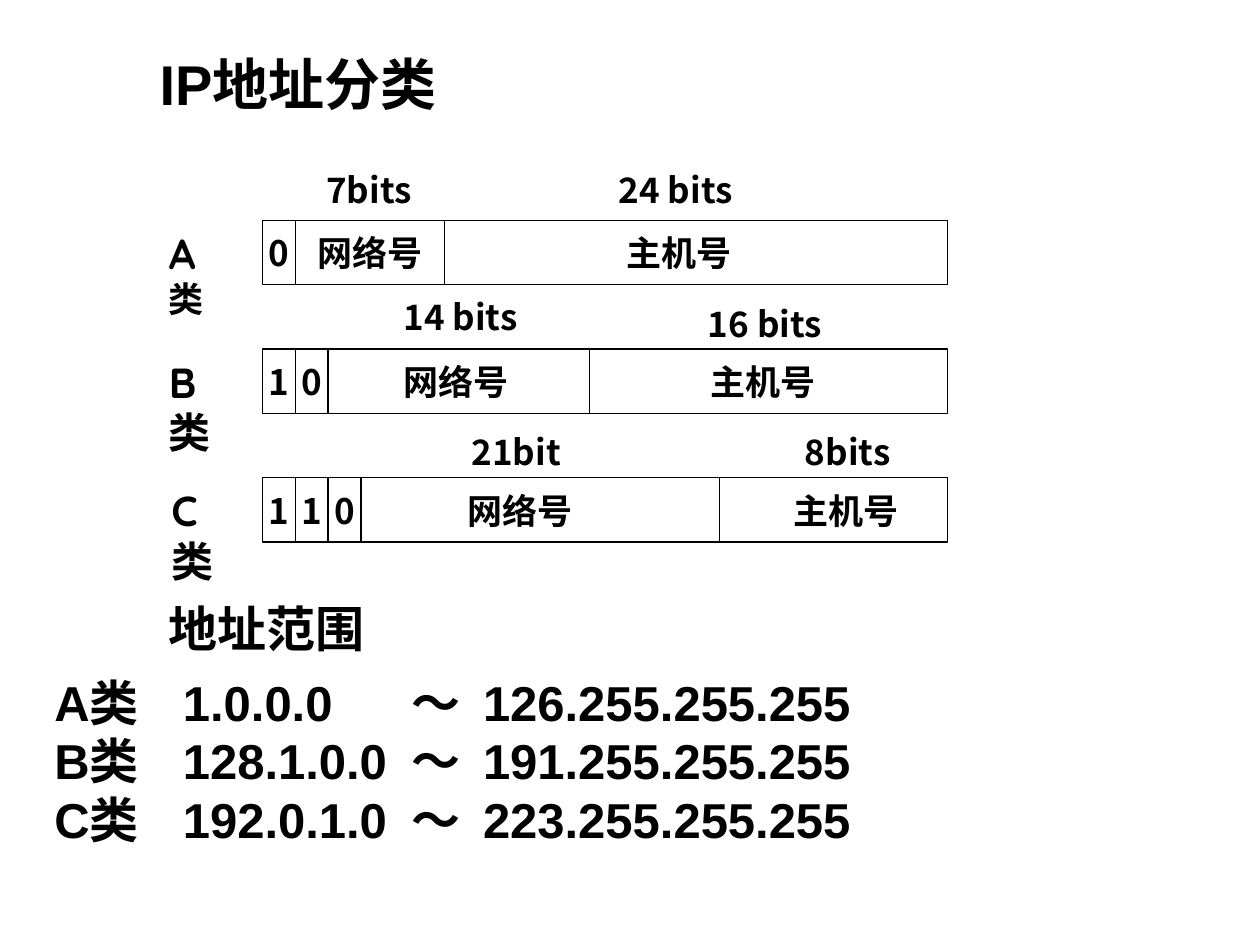
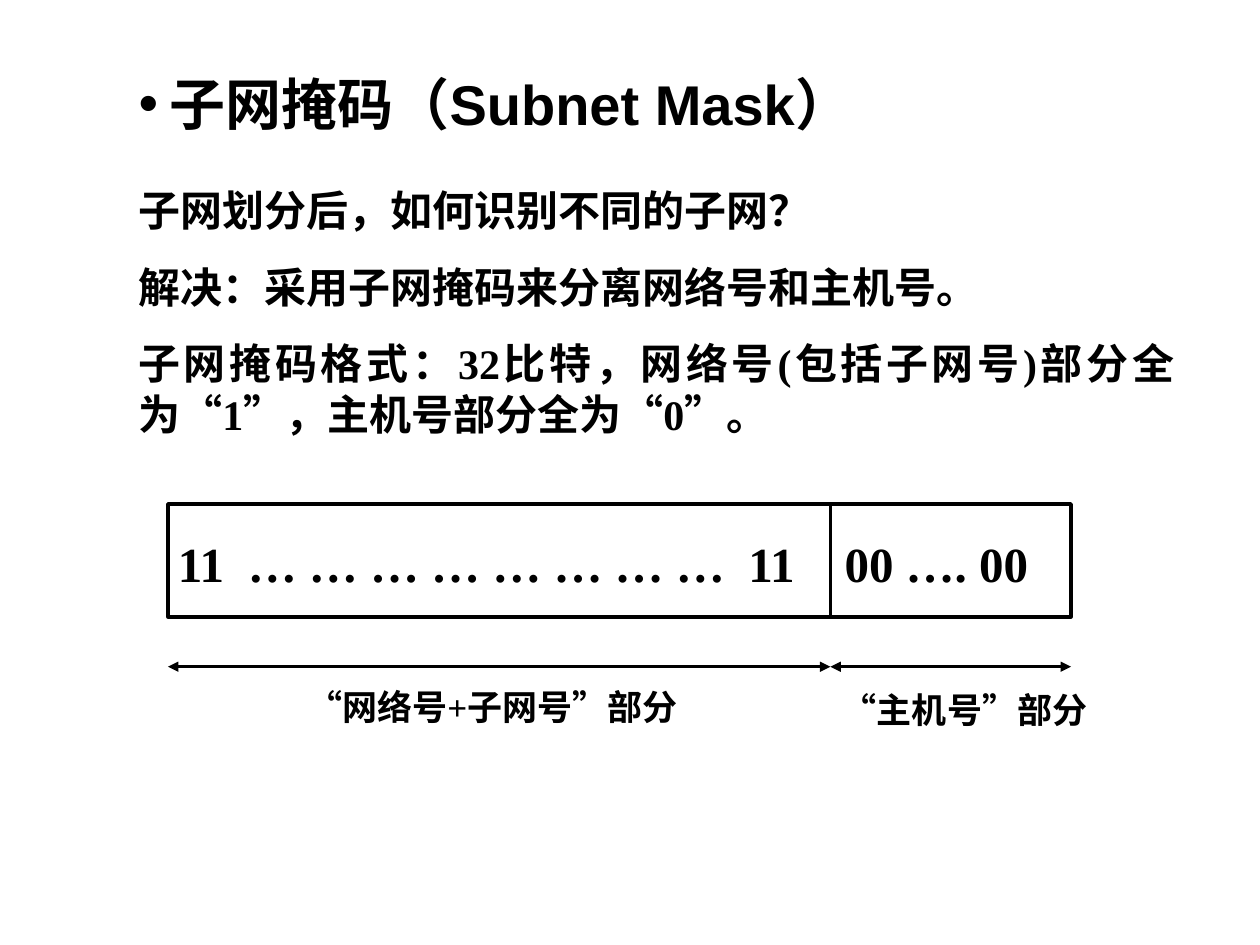
from dataclasses import dataclass

from lxml.etree import SubElement as Sub
from pptx import Presentation
from pptx.dml.color import RGBColor
from pptx.enum.shapes import MSO_CONNECTOR as Conn, MSO_SHAPE as Kind
from pptx.enum.text import MSO_ANCHOR as Anchor, MSO_AUTO_SIZE as Auto, PP_ALIGN as Align
from pptx.oxml.ns import qn
from pptx.util import Pt

BLACK, WHITE = "000000", "FFFFFF"
HAN, SANS, SERIF, ROUND = "Noto Sans CJK SC", "Arial", "Times New Roman", "Quicksand"


@dataclass(frozen=True)
class Label:
    text: str
    left: float
    top: float


@dataclass(frozen=True)
class Row:
    name: str
    left: float
    size: int
    bits: str
    cut: float
    net: float
    host: float
    counts: tuple[Label, Label]


ROWS = [
    Row("A", 96.5, 20, "0", 254, 181.5, 358,
        (Label("7bits", 186.5, 96.5), Label("24 bits", 353.5, 96.5))),
    Row("B", 96.5, 24, "10", 337, 230.5, 406,
        (Label("14 bits", 230.5, 169), Label("16 bits", 404.5, 173))),
    Row("C", 98, 24, "110", 411, 267, 453.5,
        (Label("21bit", 269.5, 246), Label("8bits", 460, 246))),
]
RANGES = [
    "A类\t1.0.0.0\t～\t126.255.255.255",
    "B类\t128.1.0.0\t～\t191.255.255.255",
    "C类\t192.0.1.0\t～\t223.255.255.255",
]
NOTES = [
    "子网划分后，如何识别不同的子网？",
    "解决：采用子网掩码来分离网络号和主机号。",
    "子网掩码格式：32比特，网络号(包括子网号)部分全为“1”，主机号部分全为“0”。",
]


def paint(code: str) -> RGBColor:
    return RGBColor.from_string(code)


def place(shape, left: float, top: float, width: float, height: float) -> None:
    shape.left, shape.top = Pt(left), Pt(top)
    shape.width, shape.height = Pt(width), Pt(height)


def add_run(para, text: str, size: float, font: str) -> None:
    run = para.add_run()
    run.text = text
    run.font.size, run.font.name, run.font.bold = Pt(size), font, True
    run.font.color.rgb = paint(BLACK)
    Sub(run.font._element, qn("a:ea"), typeface=HAN)


def write(slide, lines: list[str], left: float, top: float, width: float, height: float, *,
          shape=None, size: float = 20, font: str = HAN, align=Align.LEFT, anchor=Anchor.TOP,
          pad: bool = False, gap: float = 0, tabs: tuple = (), bullet: float = 0,
          tail: str = "", last: float = 20) -> None:
    box = shape or slide.shapes.add_textbox(0, 0, 0, 0)
    place(box, left, top, width, height)
    frame = box.text_frame
    frame.word_wrap, frame.auto_size = True, Auto.NONE
    frame.vertical_anchor = anchor
    frame.margin_left = frame.margin_right = Pt(7.2 if pad else 0)
    frame.margin_top = frame.margin_bottom = Pt(3.6 if pad else 0)
    for i, line in enumerate(lines):
        para = frame.add_paragraph() if i else frame.paragraphs[0]
        para.alignment = align
        para.space_before = Pt(gap if i else 0)
        props = para._p.get_or_add_pPr()
        if bullet:
            props.set("marL", str(Pt(bullet)))
            props.set("indent", str(-Pt(bullet)))
            Sub(props, qn("a:buFont"), typeface=SANS)
            Sub(props, qn("a:buChar"), char="•")
        if tabs:
            stops = Sub(props, qn("a:tabLst"))
            for tab in tabs:
                Sub(stops, qn("a:tab"), pos=str(Pt(tab)), algn="l")
        add_run(para, line, size, font)
        if tail:
            add_run(para, tail, last, HAN)


def title(slide, text: str, left: float, top: float, height: float, **style) -> None:
    write(slide, [text], left, top, 504, height, shape=slide.shapes.title,
          size=32, font=SANS, pad=True, **style)


def frame(slide, left: float, top: float, width: float, height: float, weight: float) -> None:
    rect = slide.shapes.add_shape(Kind.RECTANGLE, Pt(left), Pt(top), Pt(width), Pt(height))
    rect.shadow.inherit = False
    rect.fill.solid()
    rect.fill.fore_color.rgb = paint(WHITE)
    rect.line.color.rgb = paint(BLACK)
    rect.line.width = Pt(weight)


def rule(slide, x1: float, y1: float, x2: float, y2: float, weight: float,
         arrow: bool = False) -> None:
    line = slide.shapes.add_connector(Conn.STRAIGHT, Pt(x1), Pt(y1), Pt(x2), Pt(y2))
    line.line.color.rgb = paint(BLACK)
    line.line.width = Pt(weight)
    if arrow:
        for end in ("a:headEnd", "a:tailEnd"):
            Sub(line.line._get_or_add_ln(), qn(end), type="triangle")
    Sub(line._element.spPr, qn("a:effectLst"))


def draw_row(slide, row: Row, top: float) -> None:
    left, width, height, cell, thin = 150, 391.5, 36.75, 18.75, 0.71
    frame(slide, left, top, width, height, thin)
    write(slide, [row.name], row.left, top + 4, 30, 60, size=24, font=ROUND,
          tail="类", last=row.size)
    for i, bit in enumerate(row.bits):
        start = left + i * cell
        write(slide, [bit], start, top + 6.5, cell, 24, align=Align.CENTER)
        rule(slide, start + cell, top, start + cell, top + height, thin)
    rule(slide, row.cut, top, row.cut, top + height, thin)
    names = (Label("网络号", row.net, top + 6.5), Label("主机号", row.host, top + 6.5))
    for label in names + row.counts:
        write(slide, [label.text], label.left, label.top, 80, 24)


def classes(slide) -> None:
    title(slide, "IP地址分类", 84, 26.5, 42, anchor=Anchor.MIDDLE)
    for i, row in enumerate(ROWS):
        draw_row(slide, row, 126 + 73.5 * i)
    write(slide, ["地址范围"], 96.5, 342, 130, 34, size=28)
    write(slide, RANGES, 31, 384, 630, 101, size=28, font=SANS, tabs=(73.5, 204, 245))


def mask(slide) -> None:
    left, cut, right = 96, 474.5, 612
    top, height = 288, 64.5
    title(slide, "子网掩码（Subnet Mask）", 72, 36, 46, bullet=17.5)
    write(slide, NOTES, 72, 102, 606, 153, size=24, font=SERIF, pad=True,
          gap=15, align=Align.JUSTIFY)
    frame(slide, left, top, right - left, height, 2)
    rule(slide, cut, top, cut, top + height, 2)
    for start, end in ((left, cut), (cut, right)):
        rule(slide, start, 381, end, 381, 1.5, arrow=True)
    write(slide, ["“网络号+子网号”部分"], 168.5, 388, 282, 32, font=SERIF, pad=True)
    write(slide, ["“主机号”部分"], 474, 390, 169, 32, font=SERIF, pad=True)
    write(slide, ["11\t… … … … … … … …\t11\t00 …. 00"], 94.5, 301.5, 516, 41,
          size=28, font=SERIF, pad=True, tabs=(40, 326, 381))


def main() -> None:
    deck = Presentation()
    deck.slide_width, deck.slide_height = Pt(720), Pt(540)
    for build in (classes, mask):
        build(deck.slides.add_slide(deck.slide_layouts[5]))
    deck.save("out.pptx")


if __name__ == "__main__":
    main()
